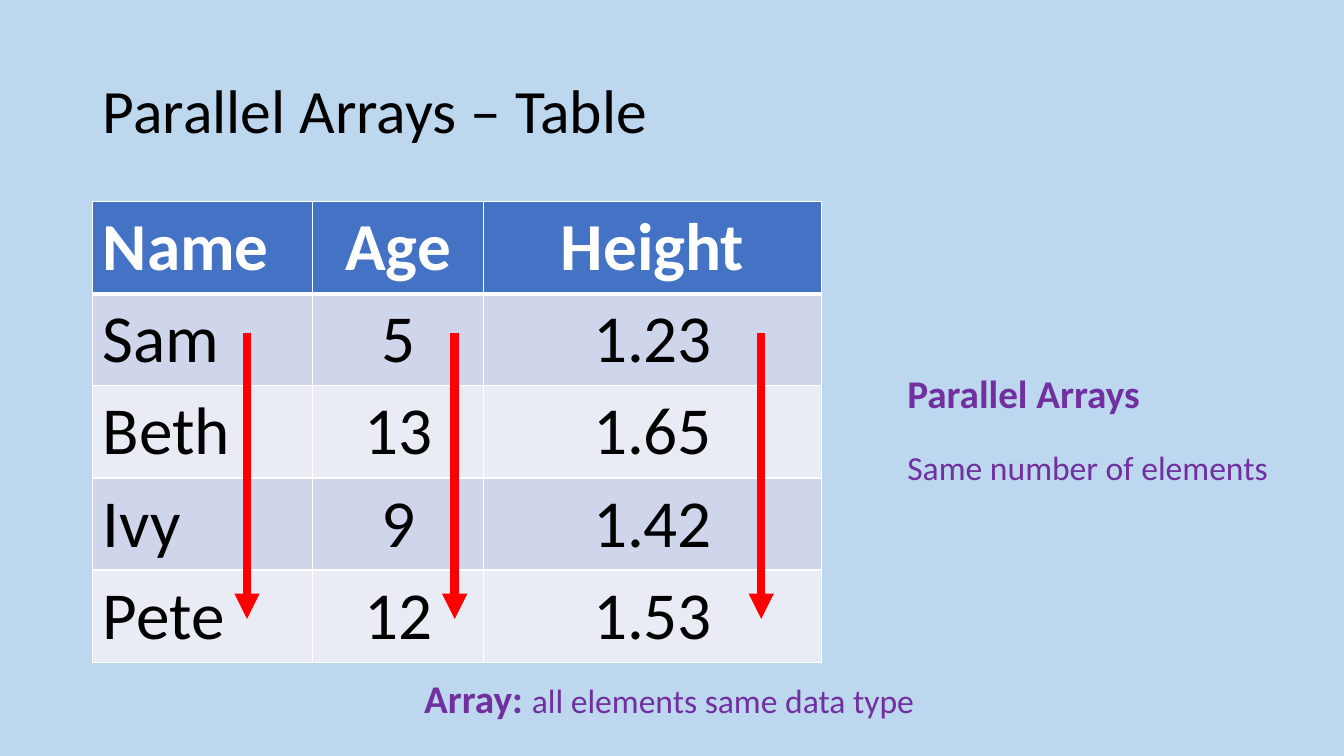
from dataclasses import dataclass

from lxml import etree
from pptx import Presentation
from pptx import util as u
from pptx.dml.color import RGBColor
from pptx.enum import shapes, text
from pptx.oxml import ns

WIDTH, HEIGHT = u.Inches(13.33), u.Inches(7.5)
FONT = "Calibri"
BLACK, WHITE, RED, PURPLE = "000000", "FFFFFF", "FF0000", "7030A0"
SKY, HEADER, BANDS = "BDD7EE", "4472C4", ("CFD5EA", "E9EBF5")
CENTER, LEFT = text.PP_ALIGN.CENTER, text.PP_ALIGN.LEFT

PEOPLE = [
    ("Name", "Age", "Height"),
    ("Sam", "5", "1.23"),
    ("Beth", "13", "1.65"),
    ("Ivy", "9", "1.42"),
    ("Pete", "12", "1.53"),
]
COLUMN_SHARES = (16.35, 12.75, 25.13)
ROW_SHARE = 12.18
ARROW_SHARES = (18.38, 33.83, 56.64)


@dataclass(frozen=True)
class Area:
    left: float
    top: float
    width: float
    height: float

    def box(self) -> tuple[int, int, int, int]:
        return across(self.left), down(self.top), across(self.width), down(self.height)


@dataclass(frozen=True)
class Phrase:
    words: str
    size: int
    color: str = PURPLE
    bold: bool = False


@dataclass(frozen=True)
class Note:
    area: Area
    lines: tuple[tuple[Phrase, ...], ...]
    gap: int = 0


NOTES = (
    Note(
        Area(66.77, 48.13, 28.58, 17.07),
        ((Phrase("Parallel Arrays", 28, bold=True),), (Phrase("Same number of elements", 24),)),
        gap=22,
    ),
    Note(
        Area(30.83, 88.53, 38.33, 7.6),
        ((Phrase("Array: ", 28, bold=True), Phrase("all elements same data type", 24)),),
    ),
)


def across(share: float) -> int:
    return round(WIDTH * share / 100)


def down(share: float) -> int:
    return round(HEIGHT * share / 100)


def paint(target, color: str) -> None:
    target.rgb = RGBColor.from_string(color)


def write(paragraph, phrase: Phrase) -> None:
    run = paragraph.add_run()
    run.text = phrase.words
    run.font.name = FONT
    run.font.size = u.Pt(phrase.size)
    run.font.bold = phrase.bold
    paint(run.font.color, phrase.color)


def add_border(cell, side: str, points: int) -> None:
    border = etree.SubElement(
        cell._tc.get_or_add_tcPr(), ns.qn(f"a:ln{side}"), w=str(u.Pt(points))
    )
    fill = etree.SubElement(border, ns.qn("a:solidFill"))
    etree.SubElement(fill, ns.qn("a:srgbClr"), val=WHITE)


def add_title(slide) -> None:
    title = slide.shapes.title
    title.left, title.top, title.width, title.height = Area(6.9, 5.33, 86.25, 19.33).box()
    title.text_frame.vertical_anchor = text.MSO_ANCHOR.MIDDLE
    heading = title.text_frame.paragraphs[0]
    heading.alignment = LEFT
    heading.line_spacing = 0.9
    write(heading, Phrase("Parallel Arrays – Table", 44, BLACK))


def add_people(slide) -> None:
    area = Area(6.9, 26.67, sum(COLUMN_SHARES), ROW_SHARE * len(PEOPLE))
    people = slide.shapes.add_table(len(PEOPLE), len(COLUMN_SHARES), *area.box()).table
    for column, share in zip(people.columns, COLUMN_SHARES):
        column.width = across(share)
    for r, person in enumerate(PEOPLE):
        people.rows[r].height = down(ROW_SHARE)
        heading = r == 0
        for c, value in enumerate(person):
            cell = people.cell(r, c)
            thickness = {"L": 1, "R": 1, "T": 3 if r == 1 else 1, "B": 3 if heading else 1}
            for side, points in thickness.items():
                add_border(cell, side, points)
            cell.fill.solid()
            paint(cell.fill.fore_color, HEADER if heading else BANDS[(r - 1) % 2])
            entry = cell.text_frame.paragraphs[0]
            entry.alignment = CENTER if c else LEFT
            write(entry, Phrase(value, 48, WHITE if heading else BLACK, heading))


def add_arrow(slide, share: float) -> None:
    x = across(share)
    arrow = slide.shapes.add_connector(
        shapes.MSO_CONNECTOR.STRAIGHT, x, down(44), x, down(81.87)
    )
    arrow.line.width = u.Pt(6)
    paint(arrow.line.color, RED)
    etree.SubElement(arrow.line._get_or_add_ln(), ns.qn("a:tailEnd"), type="triangle")
    etree.SubElement(arrow._element.spPr, ns.qn("a:effectLst"))


def add_note(slide, note: Note) -> None:
    frame = slide.shapes.add_textbox(*note.area.box()).text_frame
    frame.word_wrap = False
    frame.auto_size = text.MSO_AUTO_SIZE.SHAPE_TO_FIT_TEXT
    for i, phrases in enumerate(note.lines):
        line = frame.add_paragraph() if i else frame.paragraphs[0]
        line.space_before = u.Pt(note.gap if i else 0)
        for phrase in phrases:
            write(line, phrase)


def main() -> None:
    deck = Presentation()
    deck.slide_width, deck.slide_height = WIDTH, HEIGHT
    slide = deck.slides.add_slide(deck.slide_layouts[5])
    slide.background.fill.solid()
    paint(slide.background.fill.fore_color, SKY)
    add_title(slide)
    add_people(slide)
    for share in ARROW_SHARES:
        add_arrow(slide, share)
    for note in NOTES:
        add_note(slide, note)
    deck.save("out.pptx")


if __name__ == "__main__":
    main()
